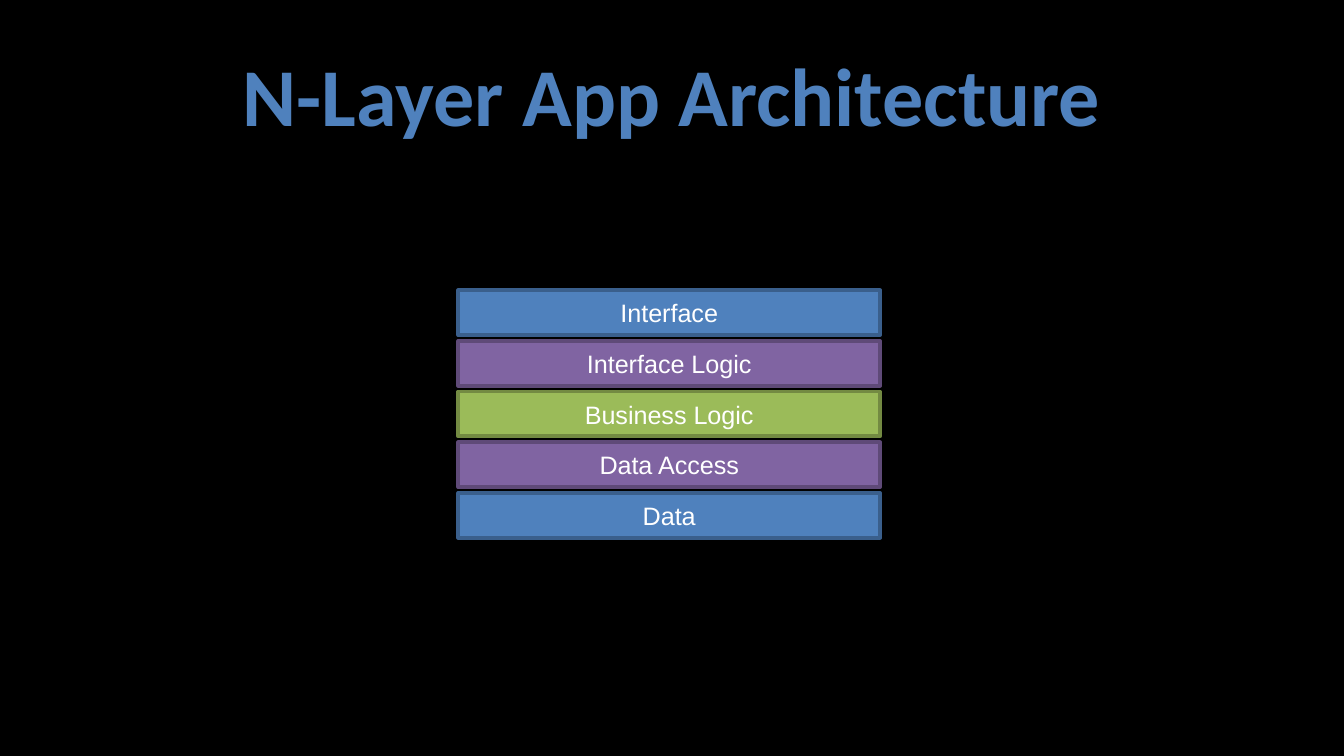
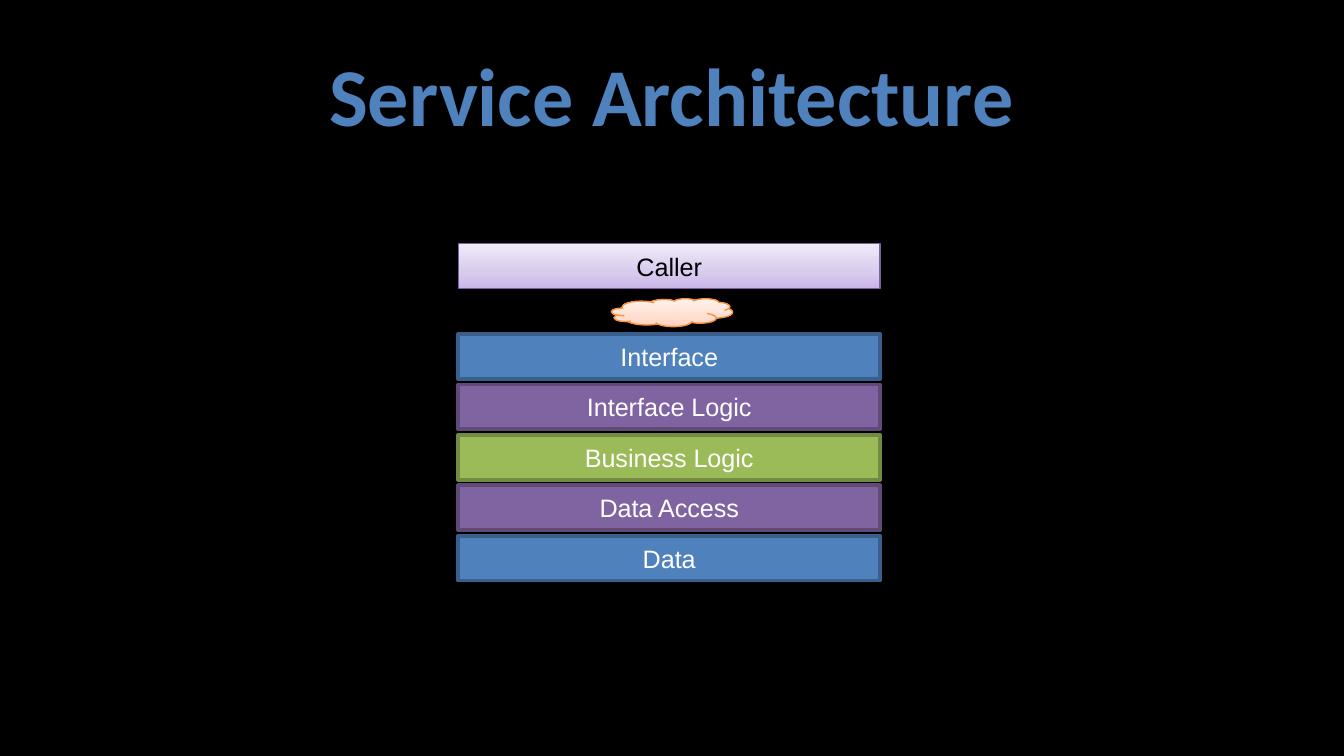
from dataclasses import dataclass

import lxml.etree
import pptx
import pptx.dml.color
import pptx.enum.shapes
import pptx.enum.text
import pptx.oxml.ns
import pptx.util

Pt = pptx.util.Pt
qn = pptx.oxml.ns.qn
SHAPES = pptx.enum.shapes.MSO_SHAPE


@dataclass(frozen=True)
class Theme:
    background: str = "000000"
    title: str = "4F81BD"
    title_font: str = "Calibri"
    title_size: float = 44
    label: str = "FFFFFF"
    caller_label: str = "000000"
    label_font: str = "Arial"
    label_size: float = 13.5
    # Each pair is fill and outline.
    data: tuple = ("4F81BD", "3A5F8C")
    logic: tuple = ("8064A2", "5F4A78")
    business: tuple = ("9BBB59", "738A42")
    caller: tuple = (("C9B5E8", "D8CBEE", "F0EAF9"), "7D60A0")
    cloud: tuple = (("FFD2BD", "FFDED0", "FFF2ED"), "F69240")


THEME = Theme()
TITLE_BOX = (36, 16.5, 648, 67.5)
LAYERS = [
    ("Interface", THEME.data),
    ("Interface Logic", THEME.logic),
    ("Business Logic", THEME.business),
    ("Data Access", THEME.logic),
    ("Data", THEME.data),
]
ROW_HEIGHT = 24


def rgb(value):
    return pptx.dml.color.RGBColor.from_string(value)


def write_text(frame, text, *, font, size, color, bold=False):
    frame.vertical_anchor = pptx.enum.text.MSO_ANCHOR.MIDDLE
    para = frame.paragraphs[0]
    para.alignment = pptx.enum.text.PP_ALIGN.CENTER
    span = para.add_run()
    span.text = text
    span.font.name = font
    span.font.size = Pt(size)
    span.font.bold = bold
    span.font.color.rgb = rgb(color)


def add_shape(page, kind, box, outline, weight):
    shape = page.shapes.add_shape(kind, *map(Pt, box))
    shape.shadow.inherit = False
    shape.line.color.rgb = rgb(outline)
    shape.line.width = Pt(weight)
    return shape


def add_glossy_shape(page, kind, box, colors):
    """Add a shape with a three-stop gradient rising from its base and a soft shadow."""
    stops, outline = colors
    shape = add_shape(page, kind, box, outline, 0.75)
    shape.fill.gradient()
    shape.fill.gradient_angle = 90
    properties = shape.element.spPr
    stop_list = properties.find(".//" + qn("a:gsLst"))
    for old_stop in list(stop_list):
        stop_list.remove(old_stop)
    for position, color in zip((0, 35000, 100000), stops):
        stop = lxml.etree.SubElement(stop_list, qn("a:gs"), pos=str(position))
        lxml.etree.SubElement(stop, qn("a:srgbClr"), val=color)

    shadow = lxml.etree.SubElement(
        properties.find(qn("a:effectLst")), qn("a:outerShdw"),
        blurRad=str(Pt(3.1)), dist=str(Pt(1.6)), dir="5400000", rotWithShape="0")
    shade = lxml.etree.SubElement(shadow, qn("a:srgbClr"), val="000000")
    lxml.etree.SubElement(shade, qn("a:alpha"), val="38000")
    return shape


def label_bar(bar, text, color):
    frame = bar.text_frame
    frame.word_wrap = False
    frame.margin_left = frame.margin_right = Pt(4.5)
    frame.margin_top = frame.margin_bottom = Pt(2.25)
    write_text(frame, text, font=THEME.label_font, size=THEME.label_size, color=color)


def add_layer_stack(page, box):
    """Spread the layers evenly from the top to the bottom of the box."""
    left, top, width, height = box
    pitch = (height - ROW_HEIGHT) / (len(LAYERS) - 1)
    for index, (name, (fill, outline)) in enumerate(LAYERS):
        row = (left, top + index * pitch, width, ROW_HEIGHT)
        bar = add_shape(page, SHAPES.RECTANGLE, row, outline, 2)
        bar.fill.solid()
        bar.fill.fore_color.rgb = rgb(fill)
        label_bar(bar, name, THEME.label)


def add_caller(page, box):
    """Place the caller bar at the top of the box and the network cloud below it."""
    left, top, width, height = box
    bar = add_glossy_shape(page, SHAPES.RECTANGLE, (left, top, width, ROW_HEIGHT), THEME.caller)
    label_bar(bar, "Caller", THEME.caller_label)
    cloud_width, cloud_height = 65, 15
    cloud = (left + (width - cloud_width) / 2 + 1.5, top + height - cloud_height,
             cloud_width, cloud_height)
    add_glossy_shape(page, SHAPES.CLOUD, cloud, THEME.cloud)


def add_titled_page(deck, text):
    page = deck.slides.add_slide(deck.slide_layouts.get_by_name("Title Only"))
    title = page.shapes.title
    title.left, title.top, title.width, title.height = map(Pt, TITLE_BOX)
    write_text(title.text_frame, text, font=THEME.title_font, size=THEME.title_size,
               color=THEME.title, bold=True)
    return page


def add_app_page(deck):
    page = add_titled_page(deck, "N-Layer App Architecture")
    add_layer_stack(page, (245.5, 155.5, 226, 132.6))


def add_service_page(deck):
    page = add_titled_page(deck, "Service Architecture")
    add_caller(page, (245.5, 130.5, 226, 44.5))
    add_layer_stack(page, (245.5, 179, 226, 132))


def main():
    deck = pptx.Presentation()
    deck.slide_width, deck.slide_height = Pt(720), Pt(405)
    backdrop = deck.slide_master.background.fill
    backdrop.solid()
    backdrop.fore_color.rgb = rgb(THEME.background)
    add_app_page(deck)
    add_service_page(deck)
    deck.save("out.pptx")


if __name__ == "__main__":
    main()
